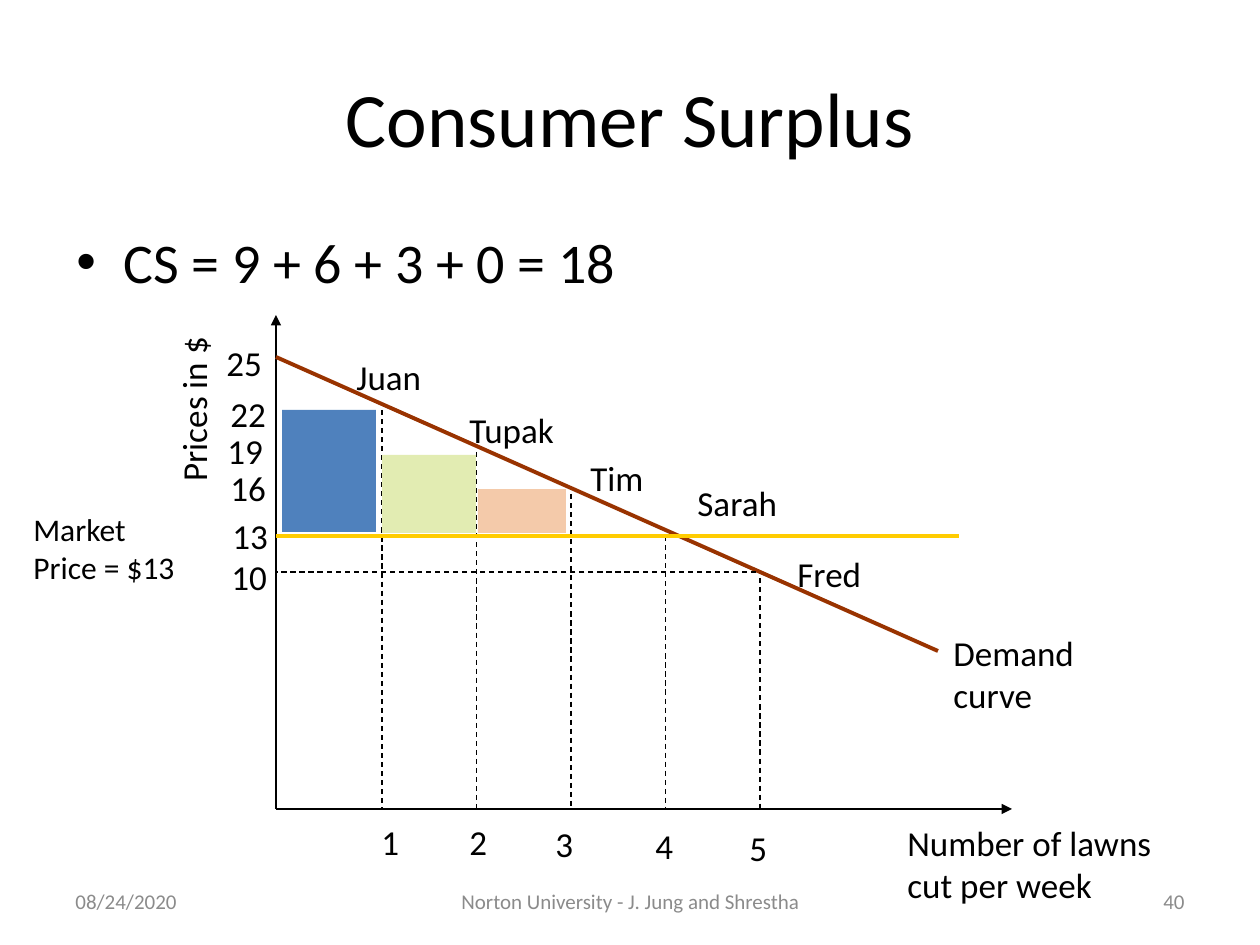
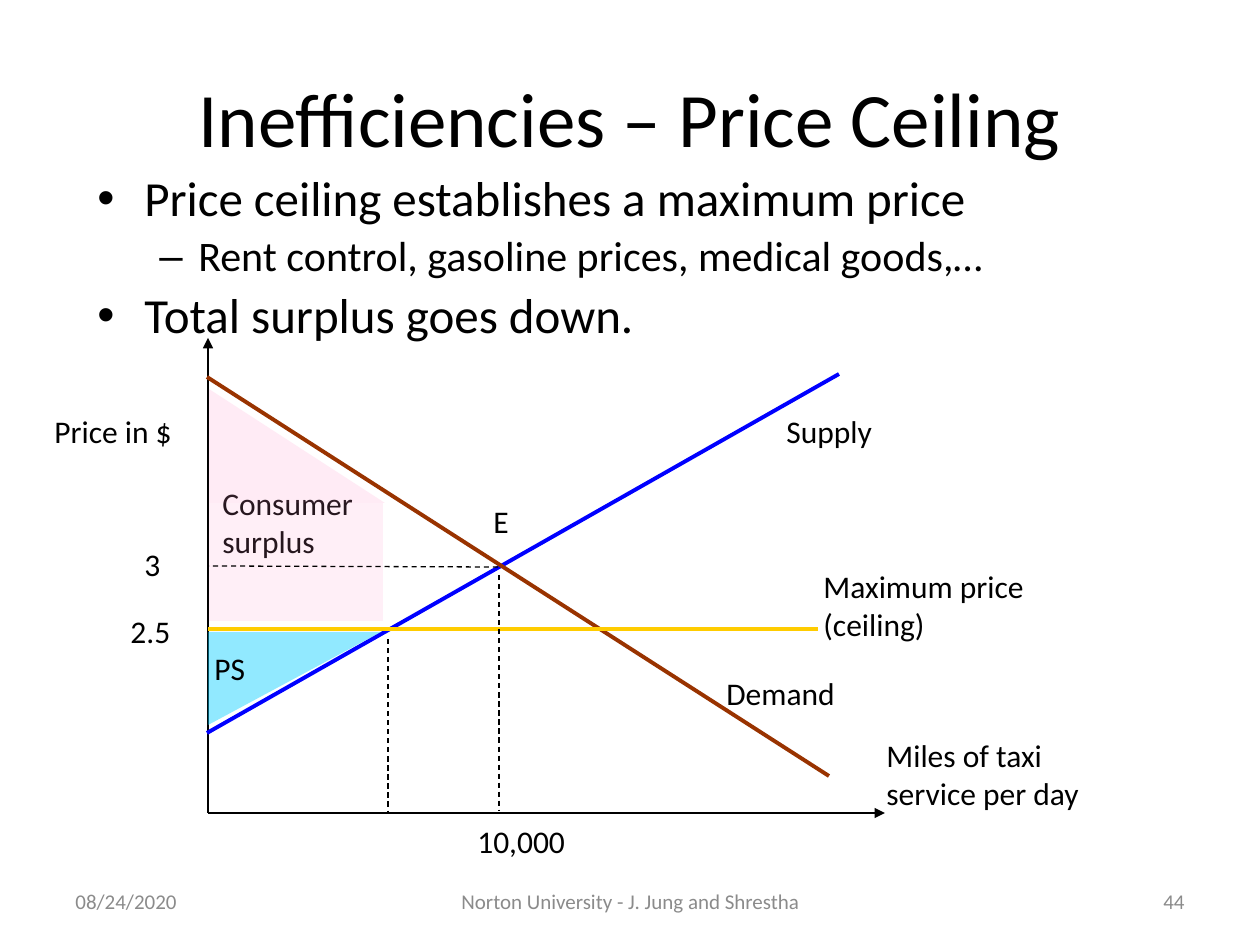
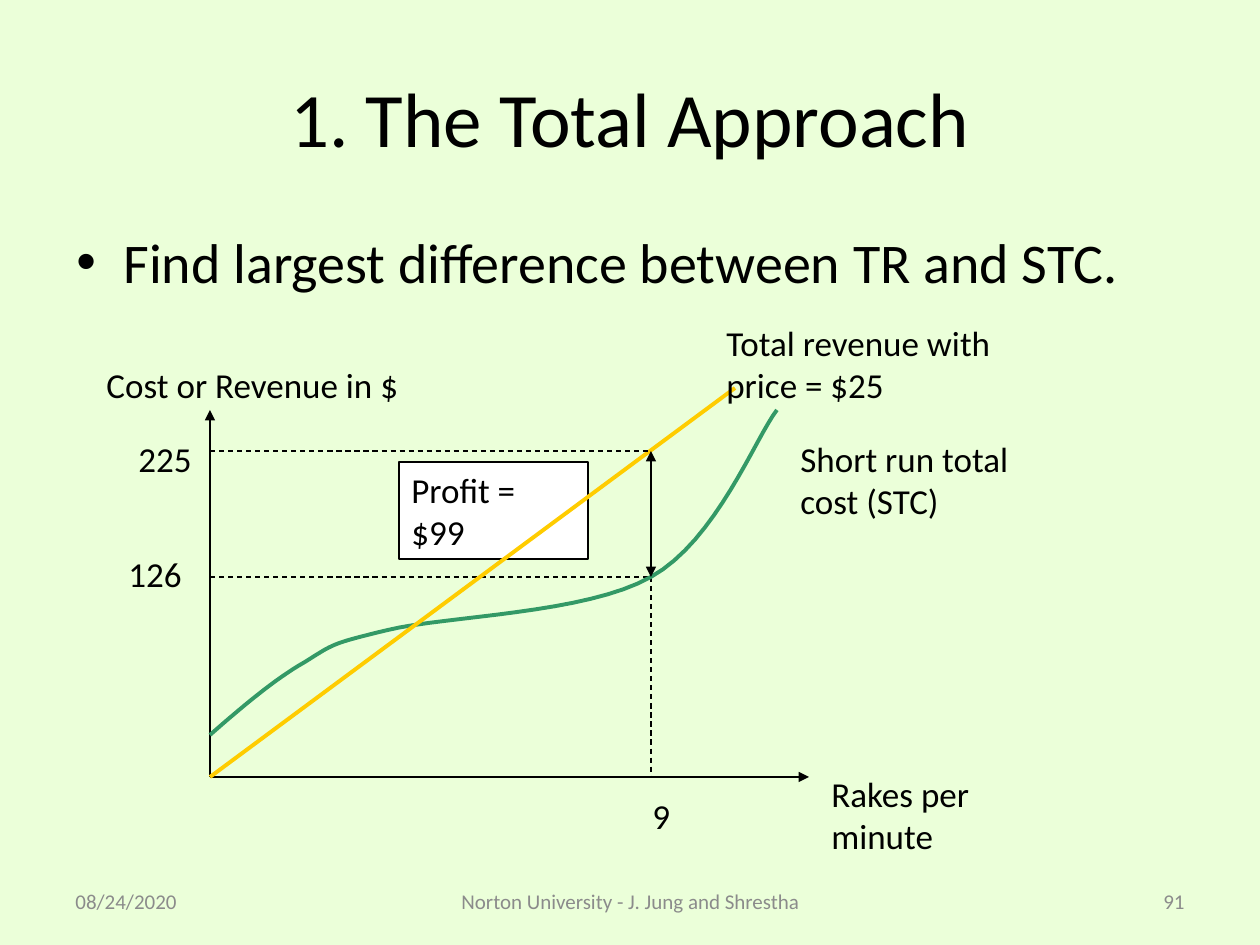
from dataclasses import dataclass

from lxml import etree
from pptx import Presentation
from pptx import util as u
from pptx.dml.color import RGBColor
from pptx.enum import dml, shapes, text
from pptx.oxml import ns

SCALE = 914400 / 126  # EMU in one px


@dataclass(frozen=True)
class Theme:
    font: str = "Calibri"
    ink: str = "000000"
    gray: str = "8B8B8B"
    white: str = "FFFFFF"
    mint: str = "EBFFD9"
    brown: str = "993300"
    gold: str = "FFCC00"
    blue: str = "0000FF"
    green: str = "339966"
    steel: str = "4F81BD"
    lime: str = "E2ECB2"
    peach: str = "F4CAAA"
    cyan: str = "00CCFF"
    pink: str = "FF99CC"
    head: int = 44
    body: int = 32
    large: int = 20
    small: int = 18
    foot: int = 12
    thin: float = 0.75
    thick: float = 2.25


T = Theme()
LEFT, MID, RIGHT = text.PP_ALIGN.LEFT, text.PP_ALIGN.CENTER, text.PP_ALIGN.RIGHT
TOP, CORE = text.MSO_ANCHOR.TOP, text.MSO_ANCHOR.MIDDLE
BOX, WEDGE = shapes.MSO_SHAPE.RECTANGLE, shapes.MSO_SHAPE.RIGHT_TRIANGLE
FOOT = "Norton University - J. Jung and Shrestha"


# Basic helpers
def px(n):
    return u.Emu(round(n * SCALE))


def rgb(hue):
    return RGBColor.from_string(hue)


def put(obj, vals):
    for key, val in vals.items():
        setattr(obj, key, val)


def sub(node, tag, **vals):
    return etree.SubElement(node, ns.qn(tag), **vals)


def place(item, left, top, width, height):
    put(item, dict(left=px(left), top=px(top), width=px(width), height=px(height)))


def style(para, size, hue=T.ink, align=LEFT, gap=0):
    put(para, dict(alignment=align, space_before=u.Pt(gap)))
    put(para.font, dict(size=u.Pt(size), name=T.font))
    para.font.color.rgb = rgb(hue)


# Text elements
def label(slide, words, left, top, width, size=T.large, height=None, turn=0):
    high = height or (54 if size == T.large else 50)
    item = slide.shapes.add_textbox(px(left), px(top), px(width), px(high))
    item.rotation = turn
    put(item.text_frame, dict(text=words, word_wrap=True,
                              auto_size=text.MSO_AUTO_SIZE.SHAPE_TO_FIT_TEXT))
    style(item.text_frame.paragraphs[0], size, gap=size / 2)


def bullets(slide, spot, lines, lead=1.0):
    frame = slide.shapes.add_textbox(*map(px, spot)).text_frame
    frame.word_wrap = True
    for i, (words, level, size) in enumerate(lines):
        para = frame.add_paragraph() if i else frame.paragraphs[0]
        put(para, dict(text=words, level=level, line_spacing=lead))
        style(para, size, gap=size / 5)
        edge, hang, sign = [(48, -47, "•"), (102, -39, "–")][level]
        props = para._p.get_or_add_pPr()
        props.set("marL", str(px(edge)))
        props.set("indent", str(px(hang)))
        sub(props, "a:buFont", typeface="Arial")
        sub(props, "a:buChar", char=sign)


def footer(slide, num):
    parts = [("08/24/2020", 63, 294, LEFT), (FOOT, 431, 399, MID),
             (str(num), 903, 294, RIGHT)]
    for words, left, width, align in parts:
        item = slide.shapes.add_textbox(px(left), px(876), px(width), px(50))
        put(item.text_frame, dict(text=words, word_wrap=True, vertical_anchor=CORE))
        style(item.text_frame.paragraphs[0], T.foot, T.gray, align)


def start(deck, name, num, back=T.white):
    slide = deck.slides.add_slide(deck.slide_layouts[5])
    slide.background.fill.solid()
    slide.background.fill.fore_color.rgb = rgb(back)
    title = slide.shapes.title
    place(title, 63, 38, 1134, 158)
    put(title.text_frame, dict(text=name, word_wrap=True, vertical_anchor=CORE))
    style(title.text_frame.paragraphs[0], T.head, align=MID)
    footer(slide, num)
    return slide


# Drawn elements
def line(slide, x1, y1, x2, y2, hue=T.ink, width=T.thin, dash=False, ends=()):
    item = slide.shapes.add_connector(shapes.MSO_CONNECTOR.STRAIGHT,
                                      *map(px, (x1, y1, x2, y2)))
    put(item.line, dict(width=u.Pt(width)))
    item.line.color.rgb = rgb(hue)
    if dash:
        item.line.dash_style = dml.MSO_LINE.DASH
    for end in ends:
        sub(item.line._get_or_add_ln(), f"a:{end}End", type="triangle")
    sub(item._element.spPr, "a:effectLst")


def dashed(slide, *spots):
    for spot in spots:
        line(slide, *spot, dash=True)


def axes(slide, left, base, top, right):
    line(slide, left, base, left, top, ends=["tail"])
    line(slide, left, base, right, base, ends=["tail"])


def area(slide, kind, spot, hue, alpha=100, turn=0):
    item = slide.shapes.add_shape(kind, *map(px, spot))
    item.shadow.inherit = False
    item.rotation = turn
    item.fill.solid()
    item.fill.fore_color.rgb = rgb(hue)
    item.line.fill.background()
    if alpha < 100:
        tone = item._element.spPr.find(".//" + ns.qn("a:srgbClr"))
        sub(tone, "a:alpha", val=str(alpha * 1000))
    return item


def curve(slide, first, arcs, hue, steps=16):
    dots, last = [], first
    for one, two, end in arcs:
        for i in range(1, steps + 1):
            t = i / steps
            s = 1 - t
            dots.append(tuple(
                px(s**3 * a + 3 * s * s * t * b + 3 * s * t * t * c + t**3 * d)
                for a, b, c, d in zip(last, one, two, end)))
        last = end
    pen = slide.shapes.build_freeform(*map(px, first), scale=1.0)
    pen.add_line_segments(dots, close=False)
    item = pen.convert_to_shape()
    item.shadow.inherit = False
    item.fill.background()
    item.line.width = u.Pt(T.thick)
    item.line.color.rgb = rgb(hue)


# Slides
def surplus(deck):
    slide = start(deck, "Consumer Surplus", 40)
    bullets(slide, (63, 221, 1134, 95), [("CS = 9 + 6 + 3 + 0 = 18", 0, T.body)])
    axes(slide, 276, 809, 315, 1012)
    line(slide, 276, 357, 938, 651, T.brown, T.thick)
    dashed(slide, *[(382 + 94.5 * i, 410 + 42 * i, 382 + 94.5 * i, 809)
                    for i in range(5)])
    line(slide, 959, 536, 276, 536, T.gold, T.thick)
    label(slide, "Prices in $", 88, 362, 210, turn=270)

    # Surplus of each buyer
    for left, top, width, high, hue in [(282, 410, 94, 122, T.steel),
                                        (382, 455, 94, 78, T.lime),
                                        (478, 489, 88, 44, T.peach)]:
        area(slide, BOX, (left, top, width, high), hue)
    for name, left, top, width in [("Juan", 344, 349, 100), ("Tupak", 457, 402, 115),
                                   ("Tim", 578, 450, 105), ("Sarah", 685, 475, 181),
                                   ("Fred", 785, 546, 130)]:
        label(slide, name, left, top, width)
    dashed(slide, (756, 572, 277, 572))

    # Axis values
    for i, (left, top) in enumerate([(369, 814), (457, 814), (543, 816),
                                     (643, 818), (737, 820)], 1):
        label(slide, str(i), left, top, 50)
    for cost, left, top in [(25, 214, 335), (22, 218, 386), (19, 215, 423),
                            (16, 218, 460), (13, 220, 508), (10, 219, 549)]:
        label(slide, str(cost), left, top, 87)
    label(slide, "Number of lawns cut per week", 895, 815, 272, height=139)
    label(slide, "Demand curve", 941, 625, 151, height=139)
    label(slide, "Market Price = $13", 21, 504, 179, T.small, 126)


def ceiling(deck):
    slide = start(deck, "Inefficiencies – Price Ceiling", 44)
    bullets(slide, (84, 168, 1134, 179), [
        ("Price ceiling establishes a maximum price", 0, 28),
        ("Rent control, gasoline prices, medical goods,…", 1, 24),
        ("Total surplus goes down.", 0, 28)], 0.9)
    axes(slide, 208, 813, 338, 885)
    line(slide, 207, 733, 839, 374, T.blue, T.thick)
    line(slide, 207, 377, 829, 776, T.brown, T.thick)
    line(slide, 818, 629, 208, 629, T.gold, T.thick)
    area(slide, WEDGE, (248, 592, 93, 173), T.cyan, 43, 90)

    # Names of areas, axes and curves
    for words, left, top, width, high in [
            ("Consumer surplus", 210, 478, 188, 88), ("PS", 202, 643, 203, 50),
            ("Price in $", 42, 406, 226, 50),
            ("Miles of taxi service per day", 874, 730, 261, 126),
            ("Supply", 774, 406, 251, 50), ("Demand", 714, 668, 218, 50),
            ("E", 481, 496, 113, 50), ("3", 132, 539, 83, 50),
            ("10,000", 465, 816, 188, 50), ("2.5", 118, 606, 79, 50),
            ("Maximum price (ceiling)", 811, 561, 270, 88)]:
        label(slide, words, left, top, width, T.small, high)

    # Consumer surplus and guides
    area(slide, BOX, (209, 503, 174, 118), T.pink, 15)
    area(slide, WEDGE, (209, 389, 176, 114), T.pink, 19)
    dashed(slide, (499, 575, 499, 810), (498, 567, 209, 566), (388, 639, 388, 814))


def total(deck):
    slide = start(deck, "1. The Total Approach", 91, T.mint)
    gain = area(slide, BOX, (399, 462, 189, 97), T.white)
    gain.line.width = u.Pt(T.thin)
    gain.line.color.rgb = rgb(T.ink)
    put(gain.text_frame, dict(text="Profit = $99", word_wrap=True, vertical_anchor=TOP))
    style(gain.text_frame.paragraphs[0], T.large, gap=T.large / 2)
    bullets(slide, (63, 221, 1134, 105),
            [("Find largest difference between TR and STC.", 0, T.body)])
    axes(slide, 210, 777, 410, 809)

    # Cost and revenue
    dashed(slide, (210, 577, 651, 577), (651, 577, 651, 777))
    curve(slide, (210, 735), [((242, 707), (275, 679), (305, 662)),
                              ((334, 644), (330, 644), (388, 630)),
                              ((446, 616), (586, 614), (651, 577)),
                              ((716, 541), (756, 437), (777, 410))], T.green)
    line(slide, 210, 777, 735, 388, T.gold, T.thick)
    dashed(slide, (210, 451, 651, 451))
    line(slide, 651, 577, 651, 451, ends=["head", "tail"])

    # Names and values
    for words, left, top, width, high in [
            ("Rakes per minute", 819, 766, 179, 139),
            ("Cost or Revenue in $", 94, 357, 483, 54),
            ("Short run total cost (STC)", 788, 431, 294, 97),
            ("Total revenue with price = $25", 714, 315, 305, 139),
            ("225", 126, 431, 105, 54), ("126", 116, 546, 116, 54),
            ("9", 640, 788, 53, 54)]:
        label(slide, words, left, top, width, height=high)


def main():
    deck = Presentation()
    put(deck, dict(slide_width=px(1260), slide_height=px(945)))
    for build in (surplus, ceiling, total):
        build(deck)
    deck.save("out.pptx")


if __name__ == "__main__":
    main()
